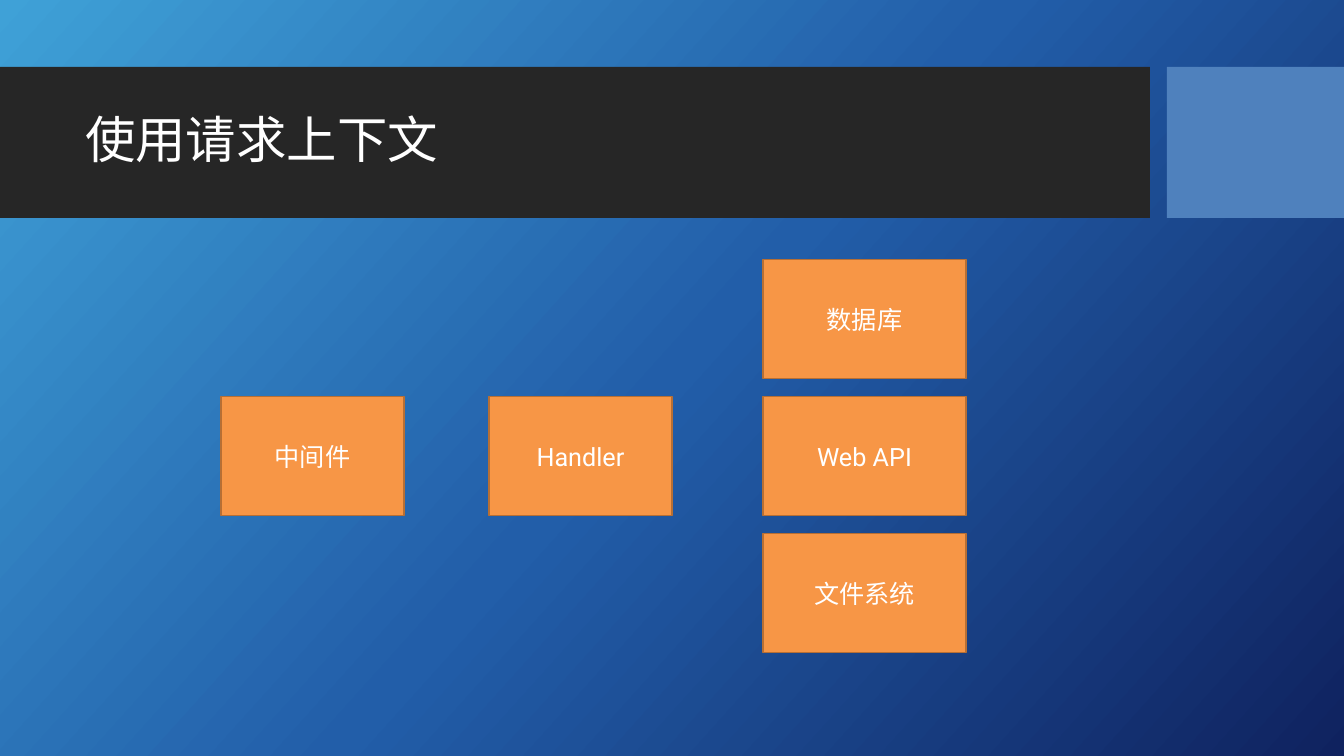
from copy import deepcopy
from dataclasses import dataclass

from pptx import Presentation
from pptx.dml.color import RGBColor
from pptx.enum.shapes import MSO_SHAPE
from pptx.enum.text import MSO_ANCHOR, PP_ALIGN
from pptx.util import Pt

TITLE = "使用请求上下文"
COLUMNS = [
    {"left": 221, "width": 183, "labels": ["中间件"]},
    {"left": 489, "width": 183, "labels": ["Handler"]},
    {"left": 763, "width": 203, "labels": ["数据库", "Web API", "文件系统"]},
]


@dataclass(frozen=True)
class Theme:
    font: str = "Roboto"
    text: str = "FFFFFF"
    title_size: int = 36
    label_size: int = 18
    band: str = "262626"
    accent: str = "4F81BD"
    box: str = "F79646"
    box_edge: str = "B76F34"
    backdrop: tuple = ((0, "3FA1D7"), (0.5, "225EA9"), (1, "0F225F"))
    backdrop_angle: int = 42


THEME = Theme()
SLIDE_WIDTH, SLIDE_HEIGHT = 1344, 756
EMU_PER_PX = 12192000 / SLIDE_WIDTH
BANDS = [((0, 67, 1150, 151), THEME.band), ((1167, 67, 177, 151), THEME.accent)]
TITLE_AREA = (75, 83, 1059, 119)
BOX_HEIGHT, BOX_GAP, ROW_CENTRE = 119, 18, 456


def px(length):
    return round(length * EMU_PER_PX)


def color(code):
    return RGBColor.from_string(code)


def apply(target, values):
    for key, value in values.items():
        setattr(target, key, value)


def paint_backdrop(slide):
    fill = slide.background.fill
    fill.gradient()
    fill.gradient_angle = 360 - THEME.backdrop_angle
    first_stop = fill.gradient_stops[0]._gs
    first_stop.addnext(deepcopy(first_stop))
    for stop, (position, code) in zip(fill.gradient_stops, THEME.backdrop):
        stop.position = position
        stop.color.rgb = color(code)


def add_block(slide, area, fill_code, edge_code=None):
    block = slide.shapes.add_shape(MSO_SHAPE.RECTANGLE, *map(px, area))
    block.shadow.inherit = False
    block.fill.solid()
    block.fill.fore_color.rgb = color(fill_code)
    if edge_code:
        block.line.color.rgb = color(edge_code)
        block.line.width = Pt(1)
    else:
        block.line.fill.background()
    return block


def write(holder, text, size, alignment, line_spacing=1.0):
    frame = holder.text_frame
    apply(frame, {"text": text, "word_wrap": True, "vertical_anchor": MSO_ANCHOR.MIDDLE})
    paragraph = frame.paragraphs[0]
    apply(paragraph, {"alignment": alignment, "line_spacing": line_spacing})
    font = paragraph.runs[0].font
    apply(font, {"name": THEME.font, "size": Pt(size)})
    font.color.rgb = color(THEME.text)


def add_heading(slide):
    for area, code in BANDS:
        add_block(slide, area, code)
    heading = slide.shapes.title
    slide.shapes._spTree.append(heading._element)
    apply(heading, dict(zip(("left", "top", "width", "height"), map(px, TITLE_AREA))))
    write(heading, TITLE, THEME.title_size, PP_ALIGN.LEFT, 0.9)


def add_column(slide, left, width, labels):
    pitch = BOX_HEIGHT + BOX_GAP
    stack_height = len(labels) * pitch - BOX_GAP
    stack_top = ROW_CENTRE - stack_height / 2
    for row, label in enumerate(labels):
        area = (left, stack_top + row * pitch, width, BOX_HEIGHT)
        box = add_block(slide, area, THEME.box, THEME.box_edge)
        write(box, label, THEME.label_size, PP_ALIGN.CENTER)


def main():
    deck = Presentation()
    apply(deck, {"slide_width": px(SLIDE_WIDTH), "slide_height": px(SLIDE_HEIGHT)})
    slide = deck.slides.add_slide(deck.slide_layouts[5])
    paint_backdrop(slide)
    add_heading(slide)
    for column in COLUMNS:
        add_column(slide, **column)
    deck.save("out.pptx")


if __name__ == "__main__":
    main()
